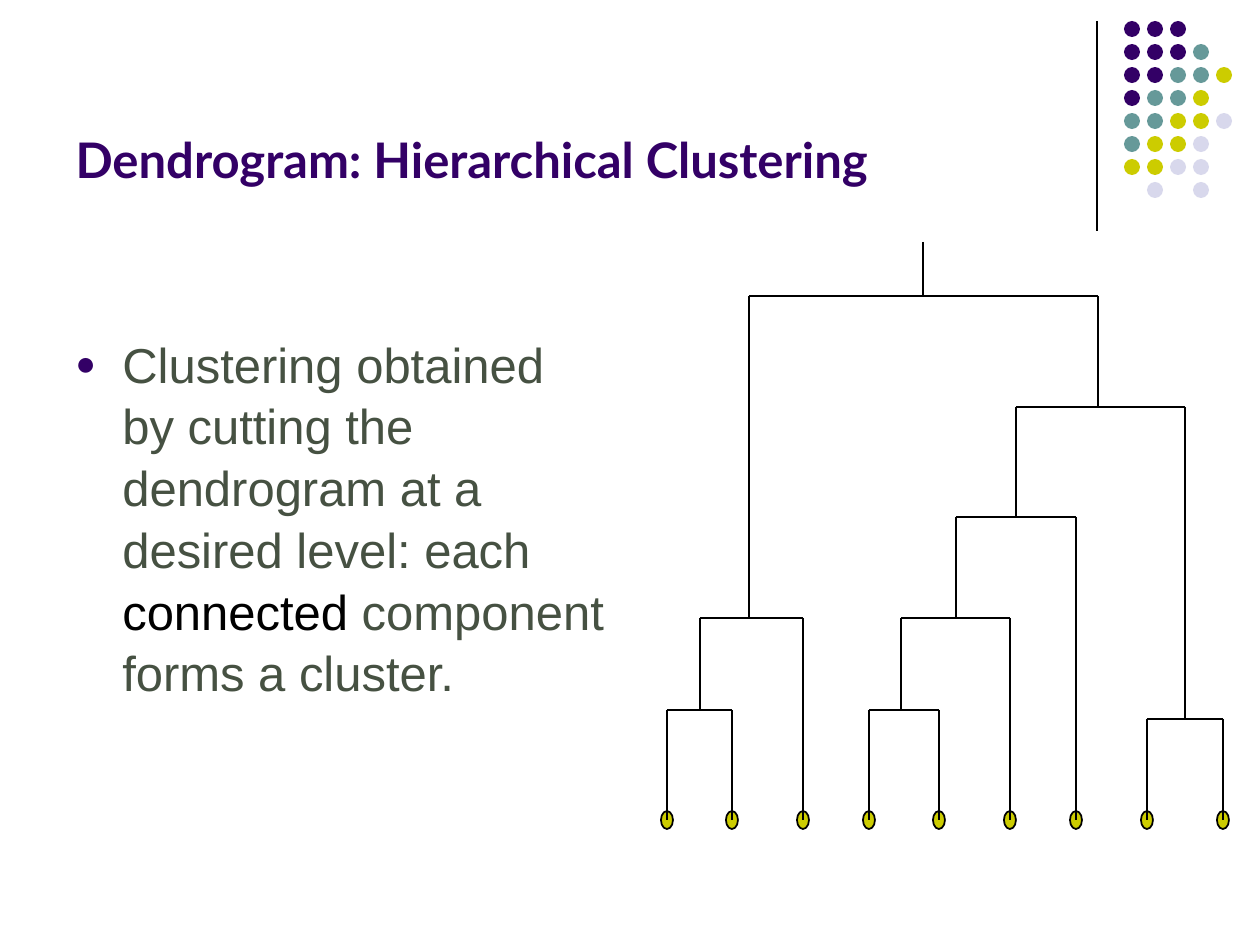
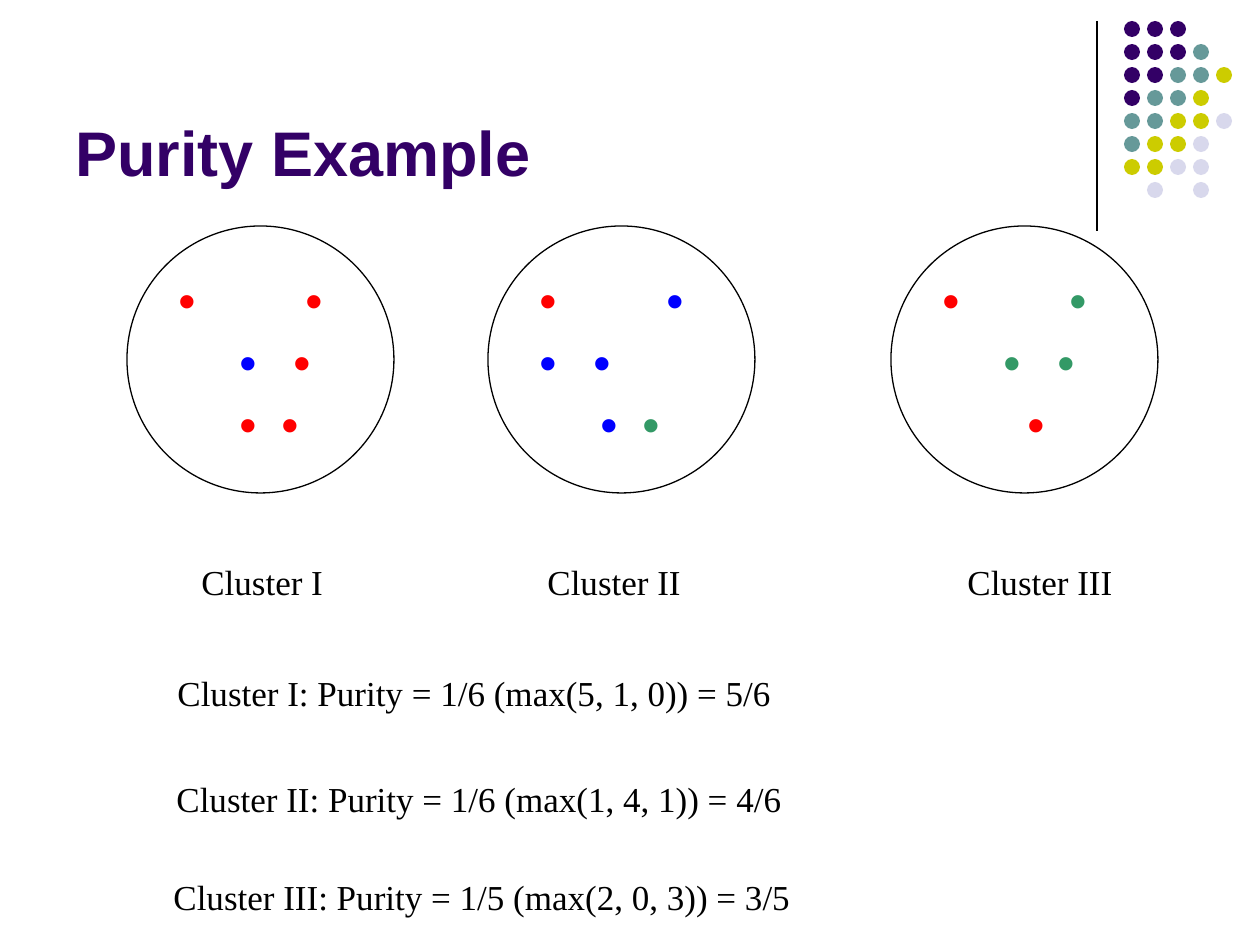
import lxml.etree
import pptx
import pptx.dml.color
import pptx.enum.shapes
import pptx.enum.text
import pptx.oxml.ns
import pptx.util

SCALE = 914400 / 126
RGBColor = pptx.dml.color.RGBColor
PURPLE = RGBColor(0x33, 0x00, 0x66)
TEAL = RGBColor(0x66, 0x99, 0x99)
YELLOW = RGBColor(0xCC, 0xCC, 0x00)
LILAC = RGBColor(0xD8, 0xD8, 0xEC)
OLIVE = RGBColor(0x46, 0x51, 0x42)
BLACK = RGBColor(0x00, 0x00, 0x00)
WHITE = RGBColor(0xFF, 0xFF, 0xFF)
RED = RGBColor(0xFF, 0x00, 0x00)
BLUE = RGBColor(0x00, 0x00, 0xFF)
GREEN = RGBColor(0x33, 0x99, 0x66)

BODY_FONT = {"name": "Arial", "size": pptx.util.Pt(28), "bold": False}
LABEL_FONT = {"name": "Times New Roman", "size": pptx.util.Pt(20), "bold": False}
TITLE_FONTS = [
    {"name": "Lato", "size": pptx.util.Pt(28), "bold": True},
    {"name": "Arial", "size": pptx.util.Pt(36), "bold": True},
]
TITLES = ["Dendrogram: Hierarchical Clustering", "Purity Example"]
TITLE_FRAME = {
    "vertical_anchor": pptx.enum.text.MSO_ANCHOR.BOTTOM,
    "auto_size": pptx.enum.text.MSO_AUTO_SIZE.NONE,
    "word_wrap": True,
}
CORNER_COLORS = {"P": PURPLE, "T": TEAL, "Y": YELLOW, "L": LILAC}
CORNER_ROWS = ["PPP", "PPPT", "PPTTY", "PTTY", "TTYYL", "TYYL", "YYLL", " L L"]


def add_line(shapes, ends, width):
    line = shapes.add_connector(
        pptx.enum.shapes.MSO_CONNECTOR.STRAIGHT, *[round(value * SCALE) for value in ends]
    )
    line.line.color.rgb = BLACK
    line.line.width = pptx.util.Pt(width)
    lxml.etree.SubElement(line._element.spPr, pptx.oxml.ns.qn("a:effectLst"))


def add_ellipse(shapes, box, fill, line_width=0):
    ellipse = shapes.add_shape(
        pptx.enum.shapes.MSO_SHAPE.OVAL, *[round(value * SCALE) for value in box]
    )
    ellipse.shadow.inherit = False
    ellipse.fill.solid()
    ellipse.fill.fore_color.rgb = fill
    if line_width:
        ellipse.line.color.rgb = BLACK
        ellipse.line.width = pptx.util.Pt(line_width)
    else:
        ellipse.line.fill.background()
    return ellipse


presentation = pptx.Presentation()
presentation.slide_width = round(1260 * SCALE)
presentation.slide_height = round(945 * SCALE)

slides = []
texts = []
for title, font_format in zip(TITLES, TITLE_FONTS):
    slide = presentation.slides.add_slide(presentation.slide_layouts[5])
    slides.append(slide)
    add_line(slide.shapes, (1097, 21, 1097, 231), 0.75)
    corner = slide.shapes.add_group_shape()
    for row, colors in enumerate(CORNER_ROWS):
        for column, key in enumerate(colors):
            if key != " ":
                box = (1124 + 23 * column, 21 + 23 * row, 16, 16)
                add_ellipse(corner.shapes, box, CORNER_COLORS[key])
    placeholder = slide.shapes.title
    for name, value in zip(("left", "top", "width", "height"), (63, 16, 1040, 179)):
        setattr(placeholder, name, round(value * SCALE))
    for name, value in TITLE_FRAME.items():
        setattr(placeholder.text_frame, name, value)
    texts.append((placeholder, font_format, [[(title, PURPLE)]]))

dendrogram_slide, purity_slide = slides

body = dendrogram_slide.shapes.add_textbox(
    *[round(value * SCALE) for value in (63, 325, 557, 505)]
)
body.text_frame.word_wrap = True
texts.append((body, BODY_FONT, [[
    ("Clustering obtained by cutting the dendrogram at a desired level: each ", OLIVE),
    ("connected", BLACK),
    (" component forms a cluster.", OLIVE),
]]))

LEAF = 820
LEAVES = [667, 732, 803, 869, 939, 1010, 1076, 1147, 1223]
MERGES = [
    (667, LEAF, 732, LEAF, 710),
    (700, 710, 803, LEAF, 618),
    (869, LEAF, 939, LEAF, 710),
    (901, 710, 1010, LEAF, 618),
    (956, 618, 1076, LEAF, 517),
    (1147, LEAF, 1223, LEAF, 719),
    (1016, 517, 1185, 719, 407),
    (749, 618, 1098, 407, 296),
]
tree = dendrogram_slide.shapes.add_group_shape()
for x in LEAVES:
    add_ellipse(tree.shapes, (x - 6, LEAF - 9, 12, 18), YELLOW, 1)
for left, left_bottom, right, right_bottom, level in MERGES:
    add_line(tree.shapes, (left, level, left, left_bottom), 1)
    add_line(tree.shapes, (left, level, right, level), 1)
    add_line(tree.shapes, (right, level, right, right_bottom), 1)
add_line(tree.shapes, (923, 242, 923, 296), 1)

LABELS = [
    ("Cluster I", 189, 554, 150),
    ("Cluster II", 535, 554, 184),
    ("Cluster III", 955, 554, 180),
    ("Cluster I: Purity = 1/6 (max(5, 1, 0)) = 5/6", 165, 665, 664),
    ("Cluster II: Purity = 1/6 (max(1, 4, 1)) = 4/6", 164, 771, 664),
    ("Cluster III: Purity = 1/5 (max(2, 0, 3)) = 3/5", 161, 869, 664),
]
for text, left, top, width in LABELS:
    label = purity_slide.shapes.add_textbox(
        *[round(value * SCALE) for value in (left, top, width, 55)]
    )
    label.text_frame.word_wrap = True
    texts.append((label, LABEL_FONT, [[(text, BLACK)]]))

CLUSTERS = [
    (127, [[(0, RED), (127, RED)], [(61, BLUE), (115, RED)], [(61, RED), (103, RED)]]),
    (488, [[(0, RED), (127, BLUE)], [(0, BLUE), (54, BLUE)], [(61, BLUE), (103, GREEN)]]),
    (891, [[(0, RED), (127, GREEN)], [(61, GREEN), (115, GREEN)], [(85, RED)]]),
]
circles = []
for left, rows in CLUSTERS:
    circle = add_ellipse(purity_slide.shapes, (left, 226, 267, 267), WHITE, 0.75)
    circles.append((circle, rows))
    paragraphs = [[("\t•" if x else "•", color) for x, color in row] for row in rows]
    texts.append((circle, BODY_FONT, paragraphs))

for shape, font_format, paragraphs in texts:
    frame = shape.text_frame
    for index, runs in enumerate(paragraphs):
        paragraph = frame.add_paragraph() if index else frame.paragraphs[0]
        paragraph.alignment = pptx.enum.text.PP_ALIGN.LEFT
        if font_format is BODY_FONT:
            paragraph.line_spacing = 1.05
        for text, color in runs:
            run = paragraph.add_run()
            run.text = text
            for name, value in font_format.items():
                setattr(run.font, name, value)
            run.font.color.rgb = color

for circle, rows in circles:
    for paragraph, row in zip(circle.text_frame.paragraphs, rows):
        properties = paragraph._p.get_or_add_pPr()
        tabs = lxml.etree.SubElement(properties, pptx.oxml.ns.qn("a:tabLst"))
        for x, color in row:
            if x:
                tab = lxml.etree.SubElement(tabs, pptx.oxml.ns.qn("a:tab"))
                tab.set("pos", str(round(x * SCALE)))
                tab.set("algn", "l")

properties = body.text_frame.paragraphs[0]._p.get_or_add_pPr()
properties.set("marL", str(round(47 * SCALE)))
properties.set("indent", str(round(-47 * SCALE)))
bullet_color = lxml.etree.SubElement(properties, pptx.oxml.ns.qn("a:buClr"))
lxml.etree.SubElement(bullet_color, pptx.oxml.ns.qn("a:srgbClr")).set("val", str(PURPLE))
for tag, name, value in [
    ("a:buSzPct", "val", "70000"),
    ("a:buFont", "typeface", "Arial"),
    ("a:buChar", "char", "●"),
]:
    lxml.etree.SubElement(properties, pptx.oxml.ns.qn(tag)).set(name, value)

presentation.save("out.pptx")
